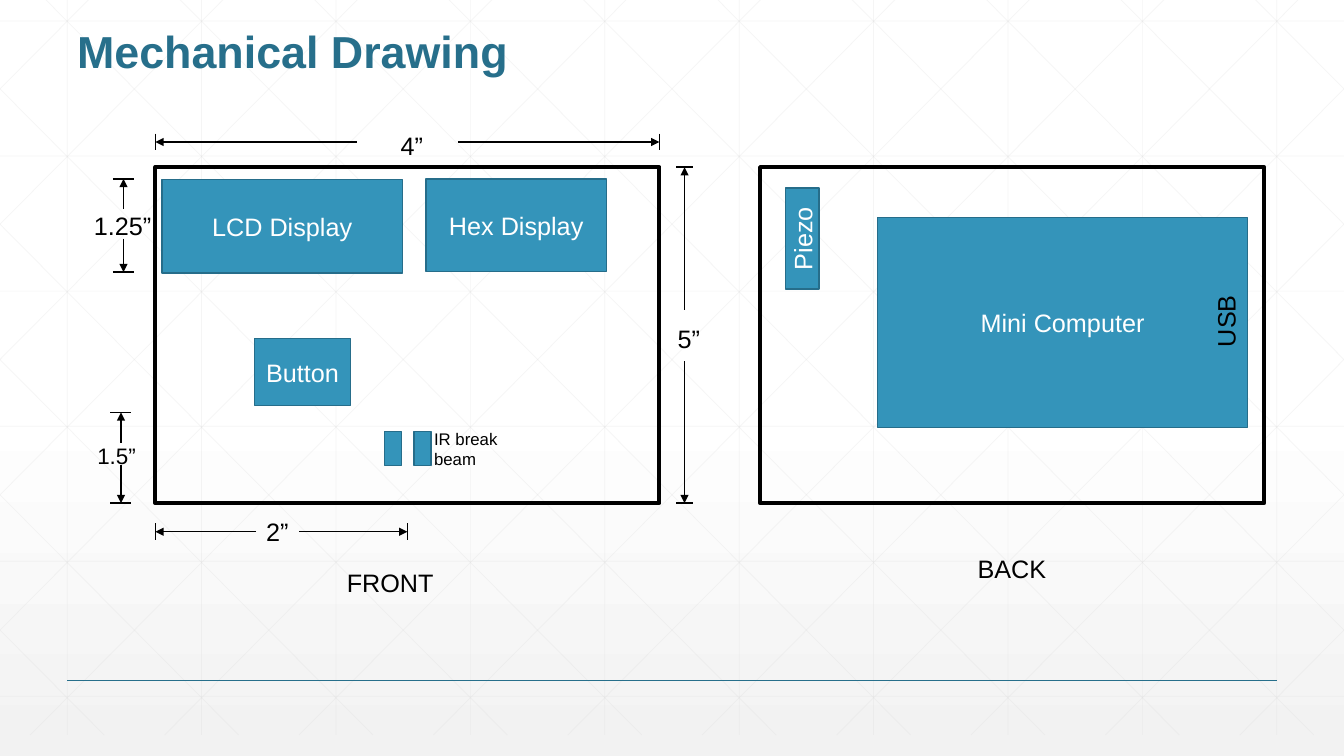
from lxml.etree import SubElement
from pptx import Presentation
from pptx.dml.color import RGBColor
from pptx.enum.shapes import MSO_CONNECTOR, MSO_SHAPE
from pptx.enum.text import MSO_ANCHOR, PP_ALIGN
from pptx.oxml.ns import qn
from pptx.util import Inches, Pt

C = {k: RGBColor.from_string(v) for k, v in {
    "black": "000000", "white": "FFFFFF", "fade": "F2F2F2", "mesh": "D9D9D9",
    "title": "276F8B", "part": "3494BA", "edge": "266D8A"}.items()}
COLS, ROWS = 160, 90

prs = Presentation()
prs.slide_width, prs.slide_height = Inches(40 / 3), Inches(7.5)
U = prs.slide_width / COLS
s = prs.slides.add_slide(prs.slide_layouts[6])


def line(x1, y1, x2, y2, color="black", width=1, alpha=None, arrow=False):
    cn = s.shapes.add_connector(MSO_CONNECTOR.STRAIGHT, *[round(v * U) for v in (x1, y1, x2, y2)])
    cn.line.color.rgb = C[color]
    cn.line.width = Pt(width)
    spPr = cn._element.spPr
    ln = spPr.find(qn("a:ln"))
    if alpha:
        SubElement(ln.find(".//" + qn("a:srgbClr")), qn("a:alpha"), val=str(alpha * 1000))
    if arrow:
        SubElement(ln, qn("a:tailEnd"), type="triangle")
    SubElement(spPr, qn("a:effectLst"))


def label(text, x, y, w, h, size=18, color="black", bold=False, wrap=False):
    tb = s.shapes.add_textbox(*[round(v * U) for v in (x, y, w, h)])
    tf = tb.text_frame
    tf.word_wrap = wrap
    tf.text = text
    f = tf.paragraphs[0].runs[0].font
    f.name, f.size, f.bold, f.color.rgb = "Arial", Pt(size), bold, C[color]
    return tb


bg = s.background.fill
bg.gradient()
bg.gradient_angle = 270
for stop, pos, color in zip(bg.gradient_stops, (0.53, 1), ("white", "fade")):
    stop.position = pos
    stop.color.rgb = C[color]

STEP, TOP, BOTTOM, RUN = 16, -2.5, 87.5, 89.4
mesh = [(8 + STEP * i, TOP, 8 + STEP * i, BOTTOM) for i in range(10)]
mesh += [(0, 2.5 + 16.08 * i, COLS, 2.5 + 16.08 * i) for i in range(6)]
for i in range(-5, 10):
    x0 = 3 + STEP * i
    a, b = max(x0, 0), min(x0 + RUN, COLS)
    ya, yb = [TOP + (x - x0) * ROWS / RUN for x in (a, b)]
    mesh += [(a, ya, b, yb), (COLS - a, ya, COLS - b, yb)]
for ends in mesh:
    line(*ends, color="mesh", width=0.5, alpha=25)
line(8, 81, 152, 81, color="title")

title = label("Mechanical Drawing", 8, 3, 144, 12, 32, "title", True, True)
title.text_frame.paragraphs[0].line_spacing = 0.9

for x in (18.5, 90.5):
    sp = s.shapes.add_shape(MSO_SHAPE.RECTANGLE, *[round(v * U) for v in (x, 19.9, 60, 40)])
    sp.shadow.inherit = False
    sp.fill.background()
    sp.line.color.rgb = C["black"]
    sp.line.width = Pt(3)

parts = [
    ("LCD Display", 19.3, 21.4, 28.6, 11.1),
    ("Hex Display", 50.7, 21.3, 21.5, 11),
    ("Button", 30.3, 40.3, 11.4, 8),
    ("", 45.8, 51.4, 2, 4),
    ("", 49.3, 51.4, 2, 4),
    ("Piezo", 93.5, 22.4, 4, 12),
    ("Mini Computer", 104.5, 25.9, 44, 25),
]
for text, *box in parts:
    sp = s.shapes.add_shape(MSO_SHAPE.RECTANGLE, *[round(v * U) for v in box])
    sp.shadow.inherit = False
    sp.fill.solid()
    sp.fill.fore_color.rgb = C["part"]
    sp.line.color.rgb = C["edge"]
    sp.line.width = Pt(1)
    if text:
        tf = sp.text_frame
        tf.text = text
        tf.vertical_anchor = MSO_ANCHOR.MIDDLE
        p = tf.paragraphs[0]
        p.alignment = PP_ALIGN.CENTER
        f = p.runs[0].font
        f.name, f.size, f.color.rgb = "Arial", Pt(18), C["white"]
    if text == "Piezo":
        tf._txBody.bodyPr.set("vert", "vert270")

dims = [
    ("across", 16.9, 18.5, 78.5, 42.5, 54.5, 1),
    ("across", 63.3, 18.5, 48.5, 30.5, 35.6, 1),
    ("down", 81.5, 19.9, 59.9, 36.9, 43, 1),
    ("down", 14.7, 21.3, 32.4, 24.9, 28.4, 1.25),
    ("down", 14.4, 49.1, 59.9, 52.7, 55.4, 1.25),
]
for way, at, start, end, gap1, gap2, tick in dims:
    for inner, outer in ((gap1, start), (gap2, end)):
        if way == "across":
            line(inner, at, outer, at, arrow=True)
            line(outer, at - tick, outer, at + tick)
        else:
            line(at, inner, at, outer, arrow=True)
            line(at - tick, outer, at + tick, outer)

for text, x, y, w, h, size in [
    ("4”", 46.5, 14.9, 5.2, 4.8, 18),
    ("5”", 79.5, 37.9, 5.2, 4.8, 18),
    ("2”", 30.5, 60.9, 5.2, 4.8, 18),
    ("1.25”", 10, 24.5, 9.4, 4.8, 18),
    ("1.5”", 10.4, 52, 7.1, 4.4, 16),
    ("FRONT", 40.1, 67, 12.8, 4.8, 18),
    ("BACK", 115.2, 65.3, 10.7, 4.8, 18),
]:
    label(text, x, y, w, h, size)
label("USB", 141.6, 35.8, 8.6, 4.8).rotation = 270
label("IR break beam", 50.5, 50.4, 11.6, 6, 12, wrap=True)

prs.save("out.pptx")
